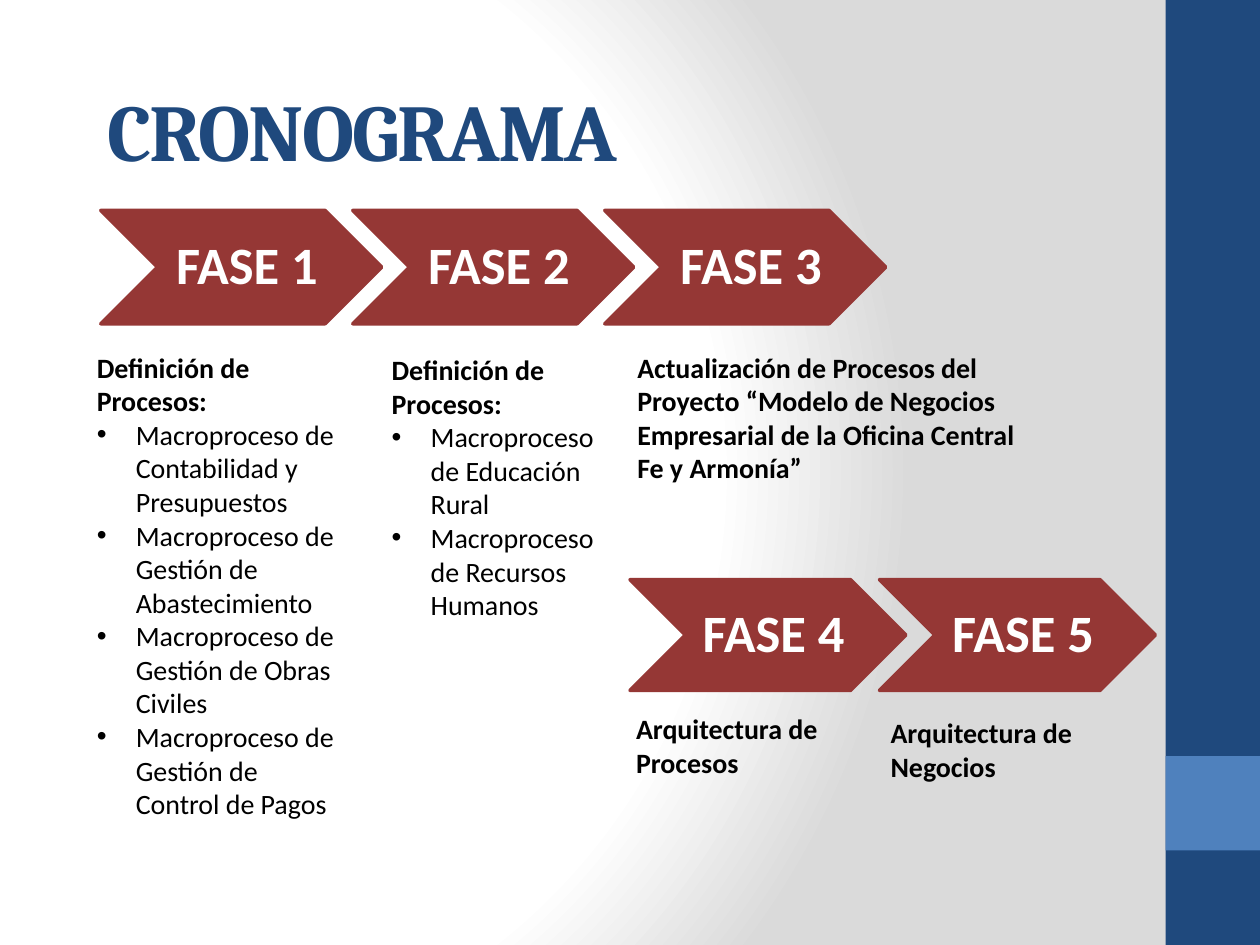
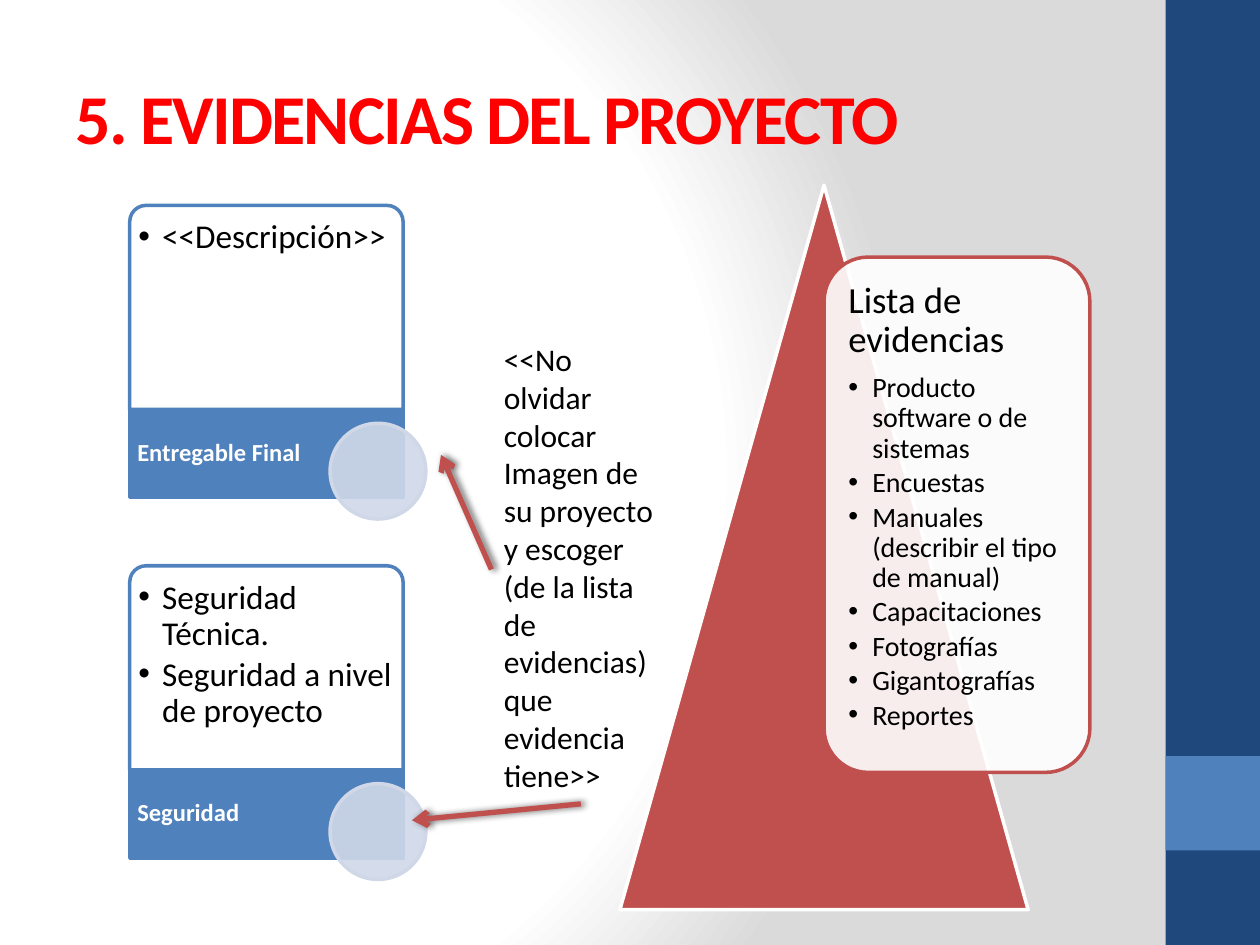
from lxml import etree
from pptx import Presentation
from pptx import util as u
from pptx.dml.color import RGBColor
from pptx.enum import shapes, text
from pptx.oxml import parse_xml
from pptx.oxml.ns import nsdecls, qn

COLORS = {
    "navy": "1F497D", "blue": "4F81BD", "pale": "D0D8E8", "maroon": "953735",
    "brick": "C0504D", "red": "FF0000", "white": "FFFFFF", "black": "000000",
    "grey": "DADADA",
}
Inches, Pt = u.Inches, u.Pt
SHAPE = shapes.MSO_SHAPE
LEFT, CENTER = text.PP_ALIGN.LEFT, text.PP_ALIGN.CENTER
TOP, MIDDLE = text.MSO_ANCHOR.TOP, text.MSO_ANCHOR.MIDDLE

# Text styles: font and paragraph values, colour, hanging indent of the bullet
STYLES = {
    "phase": {"font": {"size": Pt(30), "bold": True}, "color": "white",
              "paragraph": {"alignment": CENTER, "line_spacing": 0.9}},
    "heading": {"font": {"size": Pt(16), "bold": True}},
    "process": {"font": {"size": Pt(16)}, "bullet": 0.31},
    "reminder": {"font": {"size": Pt(18)}},
    "detail": {"font": {"size": Pt(19)}, "bullet": 0.19,
               "paragraph": {"line_spacing": 0.9, "space_after": Pt(2.85)}},
    "label": {"font": {"size": Pt(14), "bold": True}, "color": "white",
              "paragraph": {"line_spacing": 0.9}},
    "list title": {"font": {"size": Pt(21)},
                   "paragraph": {"line_spacing": 0.9, "space_after": Pt(7.35)}},
    "evidence": {"font": {"size": Pt(16)}, "bullet": 0.19,
                 "paragraph": {"line_spacing": 0.9, "space_after": Pt(2.4)}},
    "schedule title": {"font": {"size": Pt(46), "bold": True, "name": "Cambria"},
                       "color": "navy"},
    "evidence title": {"font": {"size": Pt(40), "bold": True}, "color": "red"},
}

BANDS = [((9.25, 0, 0.75, 7.5), "navy"), ((9.25, 6, 0.75, 0.75), "blue")]

# Slide 1: rows of phases (first left, top, step, width, height) and their notes
PHASE_ROWS = [
    (0.8, 1.67, 2, 2.23, 0.9, ["FASE 1", "FASE 2", "FASE 3"]),
    (5, 4.6, 1.98, 2.19, 0.88, ["FASE 4", "FASE 5"]),
]
PHASE_NOTES = [
    ((0.67, 2.73, 2.11, 4.48), "Definición de Procesos:", [
        "Macroproceso de Contabilidad y Presupuestos",
        "Macroproceso de Gestión de Abastecimiento",
        "Macroproceso de Gestión de Obras Civiles",
        "Macroproceso de Gestión de Control de Pagos"]),
    ((3.01, 2.75, 1.95, 2.86), "Definición de Procesos:", [
        "Macroproceso de Educación Rural",
        "Macroproceso de Recursos Humanos"]),
    ((4.96, 2.73, 3.24, 1.48), "Actualización de Procesos del Proyecto “Modelo de "
     "Negocios Empresarial de la Oficina Central Fe y Armonía”", []),
    ((4.95, 5.6, 2.33, 0.64), "Arquitectura de Procesos", []),
    ((6.97, 5.63, 2.1, 0.94), "Arquitectura de Negocios", []),
]

# Slide 2
CARD_LEFT, CARD_TOP, CARD_STEP, CARD_WIDTH = 1.03, 1.63, 2.86, 2.17
PANEL_HEIGHT, LABEL_HEIGHT, CIRCLE_SIZE = 1.62, 0.7, 0.76
CARDS = [
    ("Entregable Final", ["<<Descripción>>"]),
    ("Seguridad", ["Seguridad Técnica.", "Seguridad a nivel de proyecto"]),
]
EVIDENCE_TITLE = "Lista de evidencias"
EVIDENCE = ["Producto software o de sistemas", "Encuestas",
            "Manuales (describir el tipo de manual)", "Capacitaciones",
            "Fotografías", "Gigantografías", "Reportes"]
REMINDER = ("<<No olvidar colocar Imagen de su proyecto y escoger "
            "(de la lista de evidencias)que evidencia tiene>>")
ARROWS = [((3.9, 4.52), (3.5, 3.61)), ((4.61, 6.38), (3.27, 6.51))]


def rgb(name):
    return RGBColor.from_string(COLORS[name])


def lengths(values):
    return [Inches(value) for value in values]


def set_values(target, values):
    for name, value in values.items():
        setattr(target, name, value)


def write_text(shape, items, anchor=TOP, insets=(0.1, 0.05, 0.1, 0.05), wrap=True):
    """Fill a shape with (text, style name) paragraphs."""
    frame = shape.text_frame
    sides = ("margin_left", "margin_top", "margin_right", "margin_bottom")
    set_values(frame, dict(zip(sides, lengths(insets))))
    set_values(frame, {"word_wrap": wrap, "vertical_anchor": anchor})
    for index, (wording, style_name) in enumerate(items):
        style = STYLES[style_name]
        paragraph = frame.add_paragraph() if index else frame.paragraphs[0]
        set_values(paragraph, {"alignment": LEFT, **style.get("paragraph", {})})
        run = paragraph.add_run()
        run.text = wording
        set_values(run.font, {"name": "Calibri", **style["font"]})
        run.font.color.rgb = rgb(style.get("color", "black"))
        if "bullet" in style:
            add_bullet(paragraph, Inches(style["bullet"]))


def add_bullet(paragraph, indent):
    properties = paragraph._p.get_or_add_pPr()
    properties.set("marL", str(indent))
    properties.set("indent", str(-indent))
    etree.SubElement(properties, qn("a:buFont")).set("typeface", "Arial")
    etree.SubElement(properties, qn("a:buChar")).set("char", "•")


def add_box(slide, kind, place, fill, line=None, opacity=None):
    shape = slide.shapes.add_shape(kind, *lengths(place))
    shape.shadow.inherit = False
    shape.fill.solid()
    shape.fill.fore_color.rgb = rgb(fill)
    if opacity:
        color = shape.element.spPr.find(qn("a:solidFill"))[0]
        etree.SubElement(color, qn("a:alpha")).set("val", str(opacity * 1000))
    if line:
        shape.line.color.rgb = rgb(line)
        shape.line.width = Pt(2)
    else:
        shape.line.fill.background()
    return shape


def add_text(slide, place, items):
    write_text(slide.shapes.add_textbox(*lengths(place)), items)


def add_arrow(slide, start, end):
    arrow = slide.shapes.add_connector(
        shapes.MSO_CONNECTOR.STRAIGHT, *lengths(start + end))
    arrow.line.color.rgb = rgb("brick")
    arrow.line.width = Pt(3)
    etree.SubElement(arrow.line._get_or_add_ln(), qn("a:tailEnd")).set("type", "arrow")
    arrow.element.spPr.append(parse_xml(
        f'<a:effectLst {nsdecls("a")}>'
        f'<a:outerShdw blurRad="{Pt(4)}" dist="{Pt(2)}" dir="0">'
        f'<a:srgbClr val="{COLORS["black"]}"><a:alpha val="60000"/></a:srgbClr>'
        '</a:outerShdw></a:effectLst>'))


def style_master(presentation, slide):
    """Give the master its gradient and move the side bands to it."""
    master = presentation.slide_master
    master.background.fill.solid()
    solid = master.element.find(".//" + qn("p:bgPr")).find(qn("a:solidFill"))
    stops = "".join(
        f'<a:gs pos="{position * 1000}"><a:srgbClr val="{COLORS[name]}"/></a:gs>'
        for position, name in [(0, "white"), (75, "white"), (100, "grey")])
    solid.getparent().replace(solid, parse_xml(
        f'<a:gradFill {nsdecls("a")} rotWithShape="1"><a:gsLst>{stops}</a:gsLst>'
        '<a:path path="circle">'
        '<a:fillToRect l="20000" t="50000" r="100000" b="50000"/>'
        '</a:path></a:gradFill>'))
    for number, (place, color) in enumerate(BANDS, start=101):
        band = add_box(slide, SHAPE.RECTANGLE, place, color)
        band.element.nvSpPr.cNvPr.set("id", str(number))
        master.element.cSld.spTree.append(band.element)


def add_slide(presentation, title, style, place):
    slide = presentation.slides.add_slide(presentation.slide_layouts[5])
    shape = slide.shapes.title
    set_values(shape, dict(zip(("left", "top", "width", "height"), lengths(place))))
    write_text(shape, [(title, style)], MIDDLE)
    shape.text_frame.auto_size = text.MSO_AUTO_SIZE.NONE
    shape.text_frame.paragraphs[0].runs[0].font._element.set("spc", "-100")
    return slide


def build_schedule(slide):
    for left, top, step, width, height, phases in PHASE_ROWS:
        for index, phase in enumerate(phases):
            chevron = add_box(slide, SHAPE.CHEVRON,
                              (left + index * step, top, width, height),
                              "maroon", "maroon")
            write_text(chevron, [(phase, "phase")], MIDDLE,
                       (0.13, 0.04, 0.04, 0.04), wrap=False)
    for place, heading, processes in PHASE_NOTES:
        add_text(slide, place, [(heading, "heading")]
                 + [(process, "process") for process in processes])


def add_card(slide, top, label, details):
    panel = add_box(slide, SHAPE.ROUND_2_SAME_RECTANGLE,
                    (CARD_LEFT, top, CARD_WIDTH, PANEL_HEIGHT), "white", "blue", 90)
    panel.adjustments[0] = 0.08
    write_text(panel, [(detail, "detail") for detail in details],
               insets=(0.03, 0.08, 0.03, 0.03))
    label_top = top + PANEL_HEIGHT
    strip = add_box(slide, SHAPE.RECTANGLE,
                    (CARD_LEFT, label_top, CARD_WIDTH, LABEL_HEIGHT), "blue", "blue")
    write_text(strip, [(label, "label")], MIDDLE, (0.06, 0, 0.67, 0))
    add_box(slide, SHAPE.OVAL,
            (CARD_LEFT + 1.59, label_top + 0.11, CIRCLE_SIZE, CIRCLE_SIZE),
            "pale", "pale", 90)


def build_evidence(slide):
    for index, (label, details) in enumerate(CARDS):
        add_card(slide, CARD_TOP + index * CARD_STEP, label, details)
    add_box(slide, SHAPE.ISOSCELES_TRIANGLE, (4.92, 1.47, 3.24, 5.75),
            "brick", "white")
    evidence_list = add_box(slide, SHAPE.ROUNDED_RECTANGLE, (6.54, 2.04, 2.11, 4.09),
                            "white", "brick", 90)
    write_text(evidence_list, [(EVIDENCE_TITLE, "list title")]
               + [(item, "evidence") for item in EVIDENCE], insets=[0.09] * 4)
    add_text(slide, (3.9, 2.65, 1.42, 3.74), [(REMINDER, "reminder")])
    for start, end in ARROWS:
        add_arrow(slide, start, end)


def main():
    presentation = Presentation()
    presentation.slide_width, presentation.slide_height = lengths((10, 7.5))
    schedule = add_slide(presentation, "CRONOGRAMA", "schedule title",
                         (0.75, 0.52, 8.27, 1.01))
    style_master(presentation, schedule)
    build_schedule(schedule)
    build_evidence(add_slide(presentation, "5. EVIDENCIAS DEL PROYECTO",
                             "evidence title", (0.5, 0.3, 8.33, 1.25)))
    presentation.save("out.pptx")


if __name__ == "__main__":
    main()
